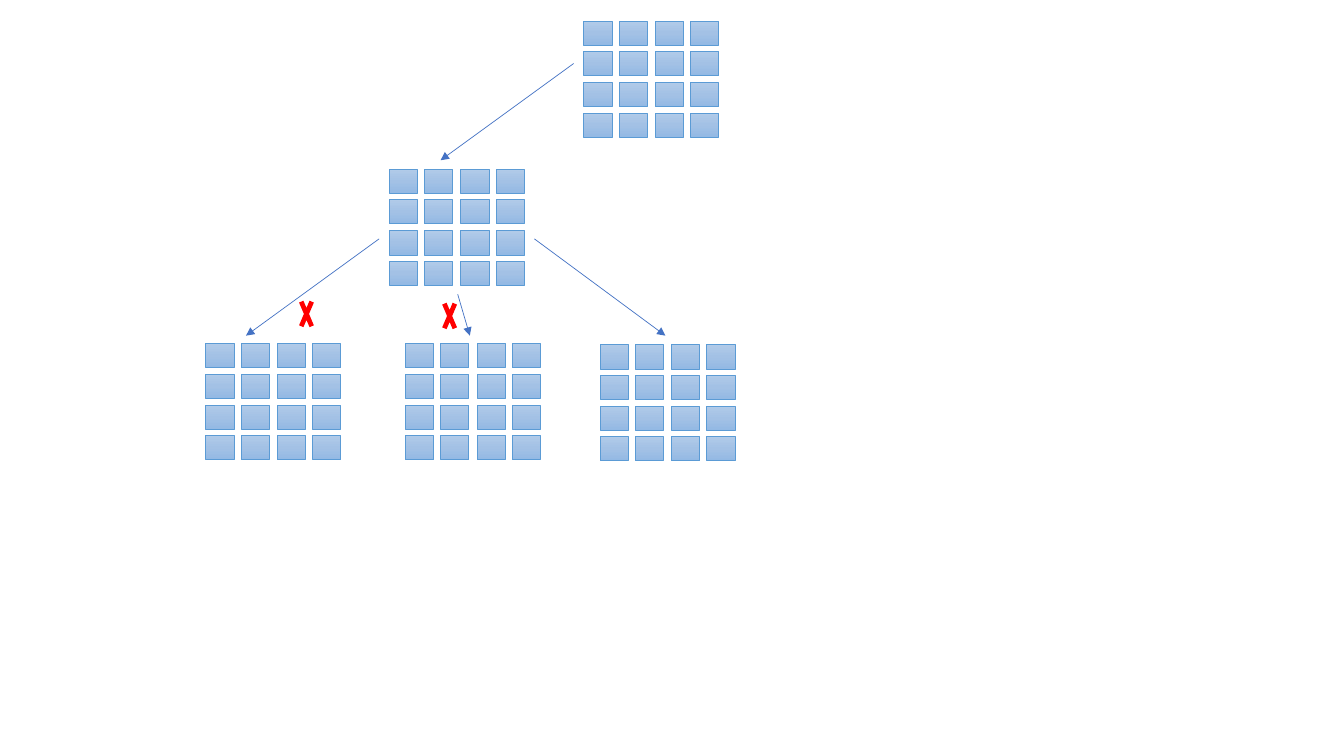
from copy import deepcopy
from itertools import product

from pptx import Presentation
from pptx.dml.color import RGBColor as RGB
from pptx.enum.shapes import MSO_CONNECTOR as Link, MSO_SHAPE as Shape
from pptx.oxml.ns import qn
from pptx.oxml.xmlchemy import OxmlElement as Node
from pptx.util import Pt

PX = 9144  # EMU in one px, 100 px to the inch
COLORS = {
    "top": "B1CBE9", "middle": "A3C1E5", "bottom": "93B9E4",
    "border": "5B9BD5", "arrow": "4472C4", "cross": "FF0000",
}


class Board:
    side = 4             # cells in a row and in a column
    cell = (28, 24)      # width and height of a cell
    span = (106, 91)     # from the first cell to the last
    thin = Pt(0.5)

    def __init__(self, slide):
        self.slide = slide

    def color(self, name):
        return RGB.from_string(COLORS[name])

    def shape(self, home, kind, left, top, width, height):
        item = home.add_shape(kind, left * PX, top * PX, width * PX, height * PX)
        item.shadow.inherit = False
        return item

    def shade(self, item):
        item.fill.gradient()
        item.fill.gradient_angle = 270
        stops = item._element.spPr.find(qn("a:gradFill")).find(qn("a:gsLst"))
        stops.insert(1, deepcopy(stops[0]))
        looks = {0: "top", 0.5: "middle", 1: "bottom"}
        for stop, (place, name) in zip(item.fill.gradient_stops, looks.items()):
            stop.position = place
            stop.color.rgb = self.color(name)

    def grid(self, left, top):
        group = self.slide.shapes.add_group_shape()
        last = self.side - 1
        for row, col in product(range(self.side), repeat=2):
            x = left + round(col * self.span[0] / last)
            y = top + round(row * self.span[1] / last)
            item = self.shape(group.shapes, Shape.RECTANGLE, x, y, *self.cell)
            self.shade(item)
            item.line.color.rgb = self.color("border")
            item.line.width = self.thin

    def arrow(self, *ends):
        line = self.slide.shapes.add_connector(
            Link.STRAIGHT, *(end * PX for end in ends))
        line.line.color.rgb = self.color("arrow")
        line.line.width = self.thin
        tip = Node("a:tailEnd")
        tip.set("type", "triangle")
        line.line._get_or_add_ln().append(tip)
        line._element.spPr.append(Node("a:effectLst"))

    def cross(self, left, top):
        item = self.shape(self.slide.shapes, Shape.MATH_MULTIPLY, left, top, 20, 47)
        item.fill.solid()
        item.fill.fore_color.rgb = self.color("cross")
        item.line.fill.background()


def main():
    deck = Presentation()
    deck.slide_width, deck.slide_height = 1333 * PX, 750 * PX
    board = Board(deck.slides.add_slide(deck.slide_layouts[6]))

    # Tree of grids: root, child, three leaves
    for spot in [(579, 21), (386, 168), (402, 341), (204, 341), (595, 342)]:
        board.grid(*spot)

    # Branches
    for ends in [(569, 63, 437, 159), (376, 237, 244, 333),
                 (454, 292, 466, 333), (530, 237, 660, 333)]:
        board.arrow(*ends)

    # Pruned branches
    for spot in [(436, 290), (294, 288)]:
        board.cross(*spot)

    deck.save("out.pptx")


if __name__ == "__main__":
    main()
